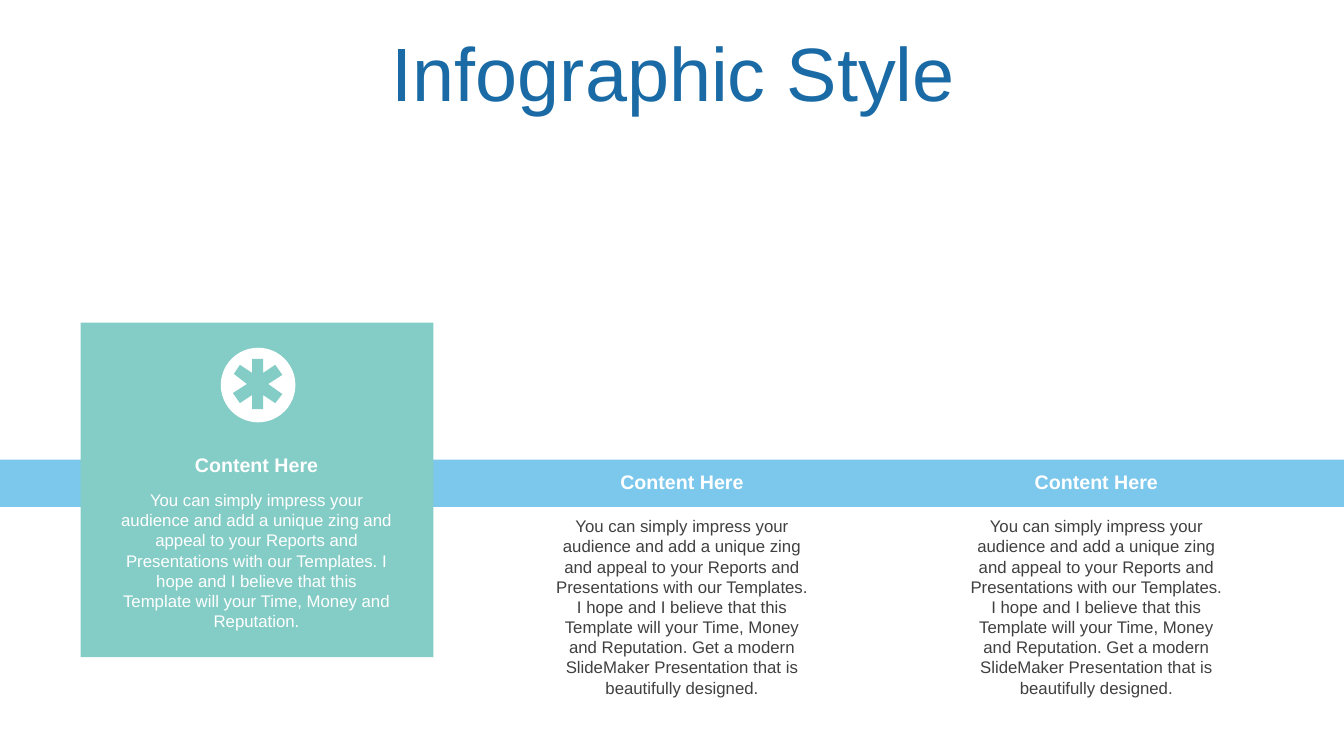
from pptx import Presentation
from pptx.dml.color import RGBColor
from pptx.enum.shapes import MSO_SHAPE
from pptx.enum.text import MSO_ANCHOR, PP_ALIGN
from pptx.util import Inches, Pt

TITLE_BLUE = RGBColor(0x1A, 0x6B, 0xA5)
BAND_BLUE = RGBColor(0x7C, 0xC8, 0xEC)
CARD_TEAL = RGBColor(0x84, 0xCC, 0xC6)
WHITE = RGBColor(0xFF, 0xFF, 0xFF)
DARK_GREY = RGBColor(0x40, 0x40, 0x40)

HEADING = "Content Here"
SHORT_TEXT = (
    "You can simply impress your audience and add a unique zing and appeal "
    "to your Reports and Presentations with our Templates. I hope and I "
    "believe that this Template will your Time, Money and Reputation."
)
LONG_TEXT = SHORT_TEXT + " Get a modern SlideMaker Presentation that is beautifully designed."


def paint(shape, color):
    shape.shadow.inherit = False
    shape.fill.solid()
    shape.fill.fore_color.rgb = color
    shape.line.fill.background()


def write(frame, text, size, color, bold=False):
    frame.word_wrap = True
    para = frame.paragraphs[0]
    para.alignment = PP_ALIGN.CENTER
    span = para.add_run()
    span.text = text
    span.font.name = "Arial"
    span.font.size = Pt(size)
    span.font.bold = bold
    span.font.color.rgb = color
    return para


deck = Presentation()
deck.slide_width = Inches(13.33)
deck.slide_height = Inches(7.5)
page = deck.slides.add_slide(deck.slide_layouts[5])

title = page.shapes.title
title.left, title.top = Inches(0.35), Inches(0.37)
title.width, title.height = Inches(12.66), Inches(0.79)
title.text_frame.vertical_anchor = MSO_ANCHOR.MIDDLE
title_para = write(title.text_frame, "Infographic Style", 54, TITLE_BLUE)
title_para.line_spacing = 0.9

blocks = [
    (MSO_SHAPE.RECTANGLE, -0.01, 4.56, 13.35, 0.47, BAND_BLUE),
    (MSO_SHAPE.RECTANGLE, 0.8, 3.2, 3.5, 3.32, CARD_TEAL),
    (MSO_SHAPE.OVAL, 2.19, 3.45, 0.74, 0.74, WHITE),
]
for kind, left, top, width, height, color in blocks:
    block = page.shapes.add_shape(
        kind, Inches(left), Inches(top), Inches(width), Inches(height)
    )
    paint(block, color)

asterisk_points = [
    (261, 356), (250, 356), (250, 370), (238, 362), (232, 371), (245, 381),
    (231, 390), (238, 400), (250, 392), (250, 406), (261, 406), (261, 392),
    (273, 400), (280, 391), (266, 381), (280, 372), (273, 362), (261, 370),
]
outline = page.shapes.build_freeform(*asterisk_points[0], scale=Inches(0.01))
outline.add_line_segments(asterisk_points[1:], close=True)
paint(outline.convert_to_shape(), CARD_TEAL)

columns = [
    (1.1, 2.89, 4.44, 4.81, 1.51, SHORT_TEXT, WHITE),
    (5.4, 2.73, 4.61, 5.07, 1.92, LONG_TEXT, DARK_GREY),
    (9.51, 2.73, 4.61, 5.07, 1.92, LONG_TEXT, DARK_GREY),
]
for left, width, heading_top, body_top, body_height, text, color in columns:
    body_box = page.shapes.add_textbox(
        Inches(left), Inches(body_top), Inches(width), Inches(body_height)
    )
    write(body_box.text_frame, text, 12, color)
    heading_box = page.shapes.add_textbox(
        Inches(left), Inches(heading_top), Inches(width), Inches(0.34)
    )
    write(heading_box.text_frame, HEADING, 14, WHITE, bold=True)

deck.save("out.pptx")
